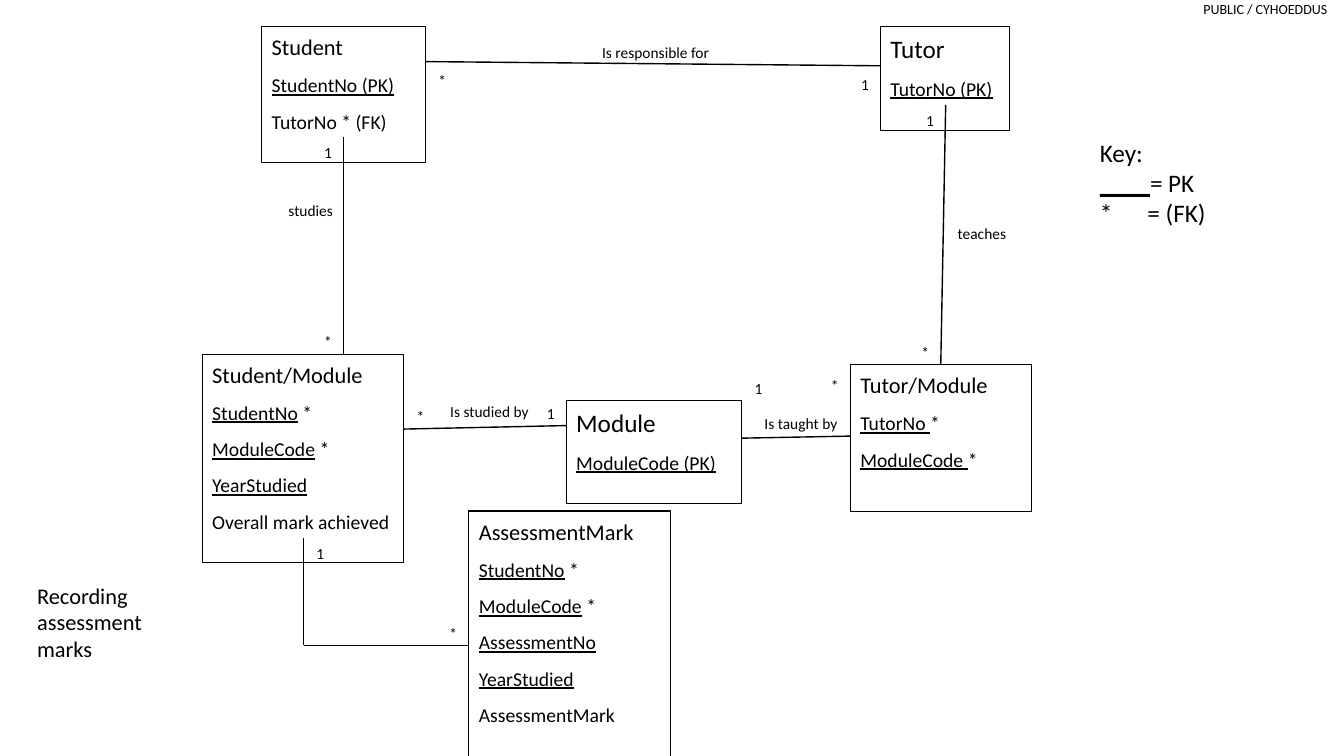
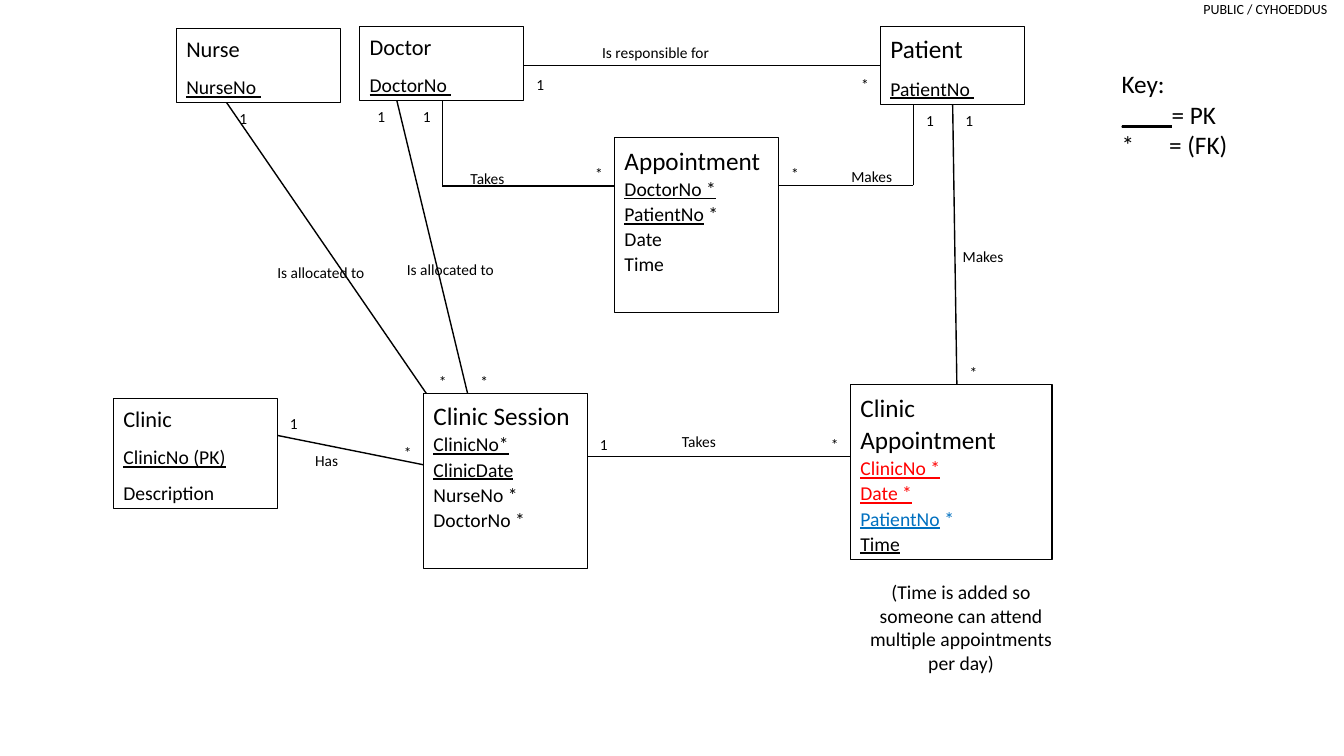
import pptx
import pptx.util
import pptx.dml.color
import pptx.enum.shapes
import pptx.enum.text
import pptx.oxml.ns
import lxml.etree

Pt = pptx.util.Pt
Align = pptx.enum.text.PP_ALIGN
HUES = {"ink": "000000", "paper": "FFFFFF", "red": "FF0000", "blue": "0070C0"}
FONT = "Calibri"
HEADER = "PUBLIC / CYHOEDDUS"
KEY = ["Key:", "____|= PK", "*\t= (FK)"]
MID, BIG = 16, 18
SLIM, WIDE = 117, 144
SHORT, TALL = 53, 125
SHIFT = {"<": -21, ">": 2, "^": -20, "v": 2, "far": -47}

SLIDES = [
    {
        "tuck": 18,
        "boxes": [
            (187, 19, SLIM, 97, MID, ["Student", "StudentNo (PK)|", "TutorNo * (FK)"]),
            (404.5, 286, 125.5, 74, BIG, ["Module", "ModuleCode (PK)|"]),
            (629, 19, 92, 74, BIG, ["Tutor", "TutorNo (PK)|"]),
            (144.5, 253, WIDE, 149, MID, [
                "Student/Module", "StudentNo| *", "ModuleCode| *",
                "YearStudied|", "Overall mark achieved"]),
            (607.5, 260.5, 129, 105, MID, ["Tutor/Module", "TutorNo |*", "ModuleCode |*"]),
            (335, 365, WIDE, 178, MID, [
                "AssessmentMark", "StudentNo| *", "ModuleCode| *",
                "AssessmentNo|", "YearStudied|", "AssessmentMark"]),
        ],
        "links": [
            ("Student", "Tutor", "rl", 44, 47, "*v", "1v", "Is responsible for", 423, 26),
            ("Student", "Student/Module", "bt", 245.5, 245.5, "1<", "*<", "studies", 199, 139.5),
            ("Tutor", "Tutor/Module", "bt", 675.5, 672, "1<", "*<", "teaches", 677, 155.5),
            ("Student/Module", "Module", "rl", 306.5, 304, "*^", "1^", "Is studied by", 314.5, 283),
            ("Module", "Tutor/Module", "rl", 313, 311.5, "1far", "*far", "Is taught by", 539, 291),
            ("Student/Module", "AssessmentMark", "bl", 217, 461, "1>", "*^"),
        ],
        "key": (778.5, 94.5),
        "note": ((19.5, 412, 114, 65), "Recording assessment marks", 16, Align.LEFT),
    },
    {
        "tuck": 0,
        "boxes": [
            (257, 19, SLIM, SHORT, MID, ["Doctor", "DoctorNo |"]),
            (629, 19, 102.5, 56, BIG, ["Patient", "PatientNo |"]),
            (439, 98.5, SLIM, TALL, BIG, [
                "Appointment", "DoctorNo *|", "PatientNo| *", "Date", "Time"]),
            (302.5, 281, SLIM, TALL, BIG, [
                "Clinic Session", "ClinicNo*|", "ClinicDate|", "NurseNo *", "DoctorNo *"]),
            (126, 20.5, SLIM, SHORT, MID, ["Nurse", "NurseNo |"]),
            (81, 284.5, SLIM, 79, MID, ["Clinic", "ClinicNo (PK)|", "Description"]),
            (607.5, 275, WIDE, TALL, BIG, [
                "Clinic Appointment", ("ClinicNo *|", "red"), ("Date *|", "red"),
                ("PatientNo| *", "blue"), "Time|"]),
        ],
        "links": [
            ("Doctor", "Patient", "rl", 47, 47, "1v", "*v", "Is responsible for", 423, 26),
            ("Doctor", "Appointment", "bl", 316, 133, "1<", "*^", "Takes", 329, 116.5),
            ("Patient", "Appointment", "br", 652.5, 132.5, "1>", "*^", "Makes", 601, 115),
            ("Nurse", "Clinic Session", "bt", 162, 304.5, "1>", "*>", "Is allocated to", 191, 183.5),
            ("Doctor", "Clinic Session", "bt", 283.5, 334, "1<", "*>", "Is allocated to", 283.5, 181),
            ("Clinic", "Clinic Session", "rl", 311, 332, "1^", "*^", "Has", 218, 317.5),
            ("Clinic Session", "Clinic Appointment", "rl", 326, 326, "1^", "*^", "Takes", 480, 304.5),
            ("Patient", "Clinic Appointment", "bt", 680.5, 683.5, "1>", "*>", "Makes", 680.5, 172),
        ],
        "key": (794, 45.5),
        "note": ((607.5, 411, 158, 89),
                 "(Time is added so someone can attend multiple appointments per day)",
                 14, Align.CENTER),
    },
]


def hue(name):
    return pptx.dml.color.RGBColor.from_string(HUES[name])


def write(shape, rows, size=11, head=None, gap=0, space=None, align=Align.LEFT, inset=(7.2, 3.6)):
    frame = shape.text_frame
    frame.word_wrap = True
    frame.vertical_anchor = pptx.enum.text.MSO_ANCHOR.TOP
    frame.margin_left = frame.margin_right = Pt(inset[0])
    frame.margin_top = frame.margin_bottom = Pt(inset[1])
    for spot, row in enumerate(rows):
        words, tint = (row, "ink") if isinstance(row, str) else row
        para = frame.add_paragraph() if spot else frame.paragraphs[0]
        para.alignment, para.space_after, para.line_spacing = align, Pt(gap), space
        under, bar, rest = words.partition("|")
        for part, line in ((under, bool(bar)), (rest, False)):
            if part:
                run = para.add_run()
                run.text = part
                run.font.name, run.font.underline = FONT, line
                run.font.size = Pt(head if head and spot == 0 else size)
                run.font.color.rgb = hue(tint)
    return shape


def text(slide, area, rows, **form):
    return write(slide.shapes.add_textbox(*map(Pt, area)), rows, **form)


def label(slide, words, left, top, wide=94):
    text(slide, (left, top, wide, 23), [words], gap=8, space=1.07)


def box(slide, area, head, rows):
    shape = slide.shapes.add_shape(pptx.enum.shapes.MSO_SHAPE.RECTANGLE, *map(Pt, area))
    shape.shadow.inherit = False
    shape.fill.solid()
    shape.fill.fore_color.rgb = hue("paper")
    shape.line.color.rgb = hue("ink")
    shape.line.width = Pt(0.75)
    gap = 0 if head == BIG and len(rows) > 2 else 8
    write(shape, rows, size=14, head=head, gap=gap, space=1.07)


def stroke(slide, start, end):
    line = slide.shapes.add_connector(
        pptx.enum.shapes.MSO_CONNECTOR.STRAIGHT, *map(Pt, start + end))
    line.line.color.rgb = hue("ink")
    line.line.width = Pt(1)
    lxml.etree.SubElement(line.element.spPr, pptx.oxml.ns.qn("a:effectLst"))


def point(area, side, at, tuck):
    left, top, wide, high = area
    return {"l": (left, at), "r": (left + wide, at),
            "t": (at, top), "b": (at, top + high - tuck)}[side]


def sign(slide, spot, side, mark):
    shift = SHIFT[mark[1:]]
    over, down = {"l": (SHIFT["<"], shift), "r": (SHIFT[">"], shift),
                  "t": (shift, SHIFT["^"]), "b": (shift, 0)}[side]
    label(slide, mark[0], spot[0] + over, spot[1] + down, wide=22)


def link(slide, areas, tuck, first, last, sides, out, into, near, far, *name):
    start = point(areas[first], sides[0], out, tuck)
    end = point(areas[last], sides[1], into, tuck)
    stops = [start, end]
    if sides in ("bl", "br"):
        stops.insert(1, (start[0], end[1]))
    for here, there in zip(stops, stops[1:]):
        stroke(slide, here, there)
    sign(slide, start, sides[0], near)
    sign(slide, end, sides[1], far)
    if name:
        label(slide, *name)


def legend(slide, left, top):
    shape = text(slide, (left, top, 107, 94), KEY, size=18)
    props = shape.element.findall(".//" + pptx.oxml.ns.qn("a:pPr"))[-1]
    tabs = lxml.etree.SubElement(props, pptx.oxml.ns.qn("a:tabLst"))
    lxml.etree.SubElement(tabs, pptx.oxml.ns.qn("a:tab"), pos=str(Pt(34)), algn="l")


deck = pptx.Presentation()
deck.slide_width, deck.slide_height = Pt(960), Pt(540)
blank = deck.slide_layouts[6]
for place, data in enumerate(SLIDES):
    slide = deck.slides.add_slide(blank)
    if place == 0:
        mark = text(slide, (857, 0, 91, 24), [HEADER], size=10, align=Align.RIGHT, inset=(0, 0))
        blank.shapes.element.append(mark.element)
    areas = {}
    for *area, head, rows in data["boxes"]:
        areas[rows[0]] = area
        box(slide, area, head, rows)
    for item in data["links"]:
        link(slide, areas, data["tuck"], *item)
    legend(slide, *data["key"])
    area, words, size, align = data["note"]
    text(slide, area, [words], size=size, align=align)
deck.save("out.pptx")
